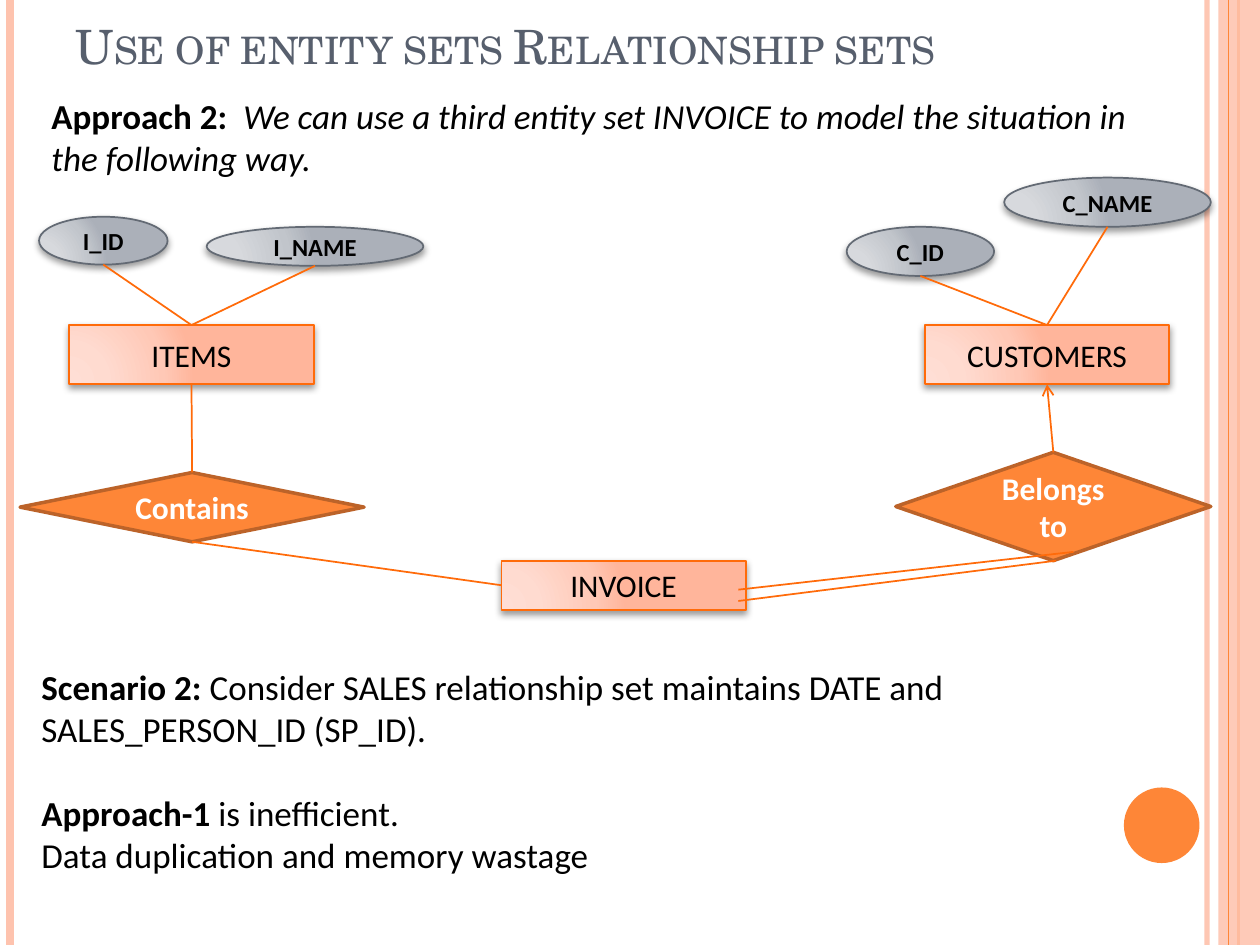
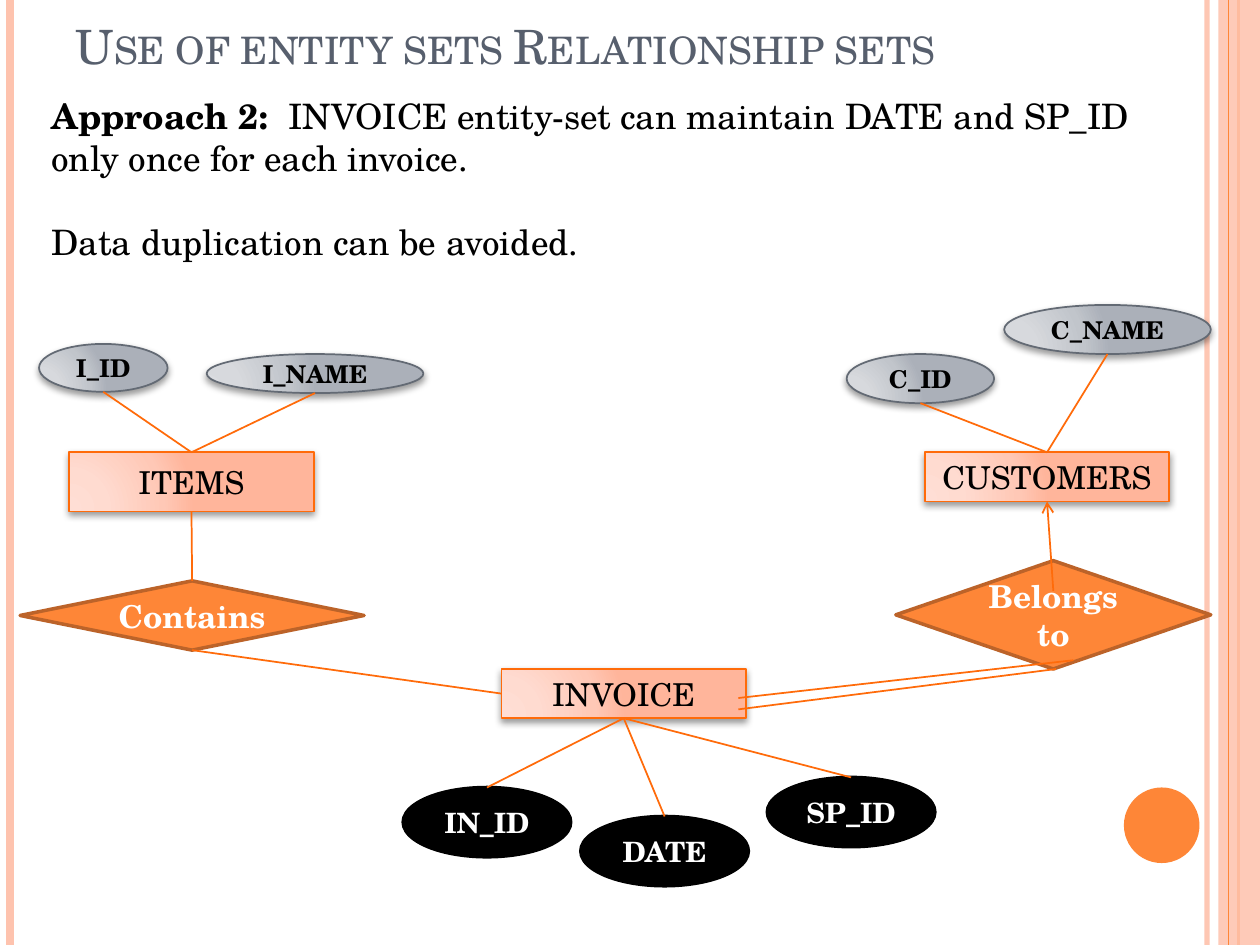
"""Build two entity-relationship slides about modelling sales with an invoice entity."""
from dataclasses import dataclass

from lxml import etree
from pptx import Presentation
from pptx.dml.color import RGBColor
from pptx.enum.shapes import MSO_CONNECTOR, MSO_SHAPE
from pptx.enum.text import MSO_ANCHOR, MSO_AUTO_SIZE, PP_ALIGN
from pptx.oxml import parse_xml
from pptx.oxml.ns import nsdecls, qn
from pptx.util import Inches, Pt

RECTANGLE = MSO_SHAPE.RECTANGLE
OVAL = MSO_SHAPE.OVAL
DIAMOND = MSO_SHAPE.FLOWCHART_DECISION
STRAIGHT = MSO_CONNECTOR.STRAIGHT
MIDDLE, BOTTOM = MSO_ANCHOR.MIDDLE, MSO_ANCHOR.BOTTOM
LEFT, CENTER = PP_ALIGN.LEFT, PP_ALIGN.CENTER
NO_AUTOFIT = MSO_AUTO_SIZE.NONE

WHITE = RGBColor(0xFF, 0xFF, 0xFF)
BLACK = RGBColor(0x00, 0x00, 0x00)
SLATE = RGBColor(0x57, 0x5F, 0x6D)
ORANGE = RGBColor(0xFE, 0x86, 0x37)
PEACH = RGBColor(0xFE, 0xC3, 0xAE)
LINK_ORANGE = RGBColor(0xFF, 0x6B, 0x0A)
BROWN = RGBColor(0xBC, 0x63, 0x29)
GREY = RGBColor(0x63, 0x6A, 0x74)
PEACH_STOPS = ("FFDED5", "FFDBD0", "FFC8B6", "FFB59B")
GREY_STOPS = ("DADCE0", "D7D9DD", "C1C5CB", "ABB0B9")
STOP_PERCENTS = (0, 30, 75, 100)

SERIF, SANS = "TeX Gyre Schola", "Calibri"
TITLE = "Use of entity sets Relationship sets"
SLIDE_WIDTH, SLIDE_HEIGHT = 10, 7.5
BLANK_LINE = 24


@dataclass(frozen=True)
class Point:
    """A place on the slide in inches."""
    x: float
    y: float


@dataclass(frozen=True)
class Box:
    """A rectangle on the slide in inches."""
    left: float
    top: float
    width: float
    height: float

    @property
    def top_mid(self) -> Point:
        """Middle of the upper edge."""
        return Point(self.left + self.width / 2, self.top)

    @property
    def bottom_mid(self) -> Point:
        """Middle of the lower edge."""
        return Point(self.left + self.width / 2, self.top + self.height)

    @property
    def left_mid(self) -> Point:
        """Middle of the left edge."""
        return Point(self.left, self.top + self.height / 2)


@dataclass(frozen=True)
class NodeStyle:
    """Look of one kind of diagram node."""
    outline: int
    line: RGBColor
    line_width: float
    text: RGBColor
    size: int
    bold: bool
    fill: RGBColor | None = None
    stops: tuple[str, ...] = ()


@dataclass(frozen=True)
class Phrase:
    """A stretch of text with one emphasis."""
    text: str
    bold: bool = False
    italic: bool = False


@dataclass(frozen=True)
class Passage:
    """A paragraph and the space above it in points."""
    phrases: tuple[Phrase, ...]
    before: int = 0


@dataclass(frozen=True)
class Diagram:
    """What differs between the two diagrams."""
    font: str
    entity_top: float
    relation_top: float
    customers_height: float
    arrow_inset: float = 0


ENTITY = NodeStyle(RECTANGLE, LINK_ORANGE, 1, BLACK, 18, False, stops=PEACH_STOPS)
ATTRIBUTE = NodeStyle(OVAL, GREY, 1, BLACK, 14, True, stops=GREY_STOPS)
RELATION = NodeStyle(DIAMOND, BROWN, 2, WHITE, 18, True, fill=ORANGE)
NEW_ATTRIBUTE = NodeStyle(OVAL, BLACK, 2, WHITE, 16, True, fill=BLACK)

FIRST_DIAGRAM = Diagram(SANS, 2.58, 3.59, 0.47)
SECOND_DIAGRAM = Diagram(SERIF, 3.59, 4.45, 0.39, arrow_inset=0.24)

THIRD_ENTITY = (
    Passage((
        Phrase("Approach 2:  ", bold=True),
        Phrase("We can use a third entity set INVOICE to model the situation in "
               "the following way.", italic=True))),
)
SCENARIO = (
    Passage((
        Phrase("Scenario 2: ", bold=True),
        Phrase("Consider SALES relationship set maintains DATE and "
               "SALES_PERSON_ID (SP_ID)."))),
    Passage((Phrase("Approach-1 ", bold=True), Phrase("is inefficient.")), BLANK_LINE),
    Passage((Phrase("Data duplication and memory wastage"),)),
)
NO_DUPLICATION = (
    Passage((
        Phrase("Approach 2: ", bold=True),
        Phrase(" INVOICE entity-set can maintain DATE and SP_ID only once for "
               "each invoice."))),
    Passage((Phrase("Data duplication can be avoided."),), BLANK_LINE),
)
INVOICE_ATTRIBUTES = (
    ("IN_ID", Box(3.2, 6.25, 1.33, 0.55)),
    ("DATE", Box(4.61, 6.48, 1.33, 0.55)),
    ("SP_ID", Box(6.09, 6.17, 1.33, 0.55)),
)


def place(box: Box) -> tuple[int, ...]:
    """Return the box as lengths."""
    return tuple(Inches(side) for side in (box.left, box.top, box.width, box.height))


def set_opacity(drawn, percent: int) -> None:
    """Make the first colour of a shape or line partly transparent."""
    colour = next(drawn._element.spPr.iter(qn("a:srgbClr")))
    etree.SubElement(colour, qn("a:alpha")).set("val", str(percent * 1000))


def add_gradient(shape, stops: tuple[str, ...]) -> None:
    """Fill a shape with a circular gradient and give it a soft shadow."""
    stop_xml = "".join(
        f'<a:gs pos="{percent * 1000}"><a:srgbClr val="{colour}"/></a:gs>'
        for percent, colour in zip(STOP_PERCENTS, stops))
    shape._element.spPr.insert(2, parse_xml(
        f'<a:gradFill {nsdecls("a")} rotWithShape="1"><a:gsLst>{stop_xml}</a:gsLst>'
        '<a:path path="circle"><a:fillToRect l="5000" t="100000" r="120000" b="10000"/>'
        '</a:path></a:gradFill>'))
    shape._element.spPr.append(parse_xml(
        f'<a:effectLst {nsdecls("a")}><a:outerShdw blurRad="{Pt(4)}" dist="{Pt(2)}" '
        'dir="5400000" rotWithShape="0"><a:srgbClr val="000000"><a:alpha val="40000"/>'
        '</a:srgbClr></a:outerShdw></a:effectLst>'))


def add_line(slide, start: Point, end: Point, colour: RGBColor = LINK_ORANGE,
             width: float = 1, arrow: bool = False):
    """Draw a straight line, with an arrowhead at its end if asked."""
    line = slide.shapes.add_connector(
        STRAIGHT, Inches(start.x), Inches(start.y), Inches(end.x), Inches(end.y))
    line.line.color.rgb = colour
    line.line.width = Pt(width)
    if arrow:
        etree.SubElement(line.line._get_or_add_ln(), qn("a:tailEnd")).set("type", "arrow")
    etree.SubElement(line._element.spPr, qn("a:effectLst"))
    return line


def add_plain(slide, outline: int, box: Box, colour: RGBColor):
    """Draw a flat shape without an outline."""
    shape = slide.shapes.add_shape(outline, *place(box))
    shape.fill.solid()
    shape.fill.fore_color.rgb = colour
    shape.line.fill.background()
    shape.shadow.inherit = False
    return shape


def add_node(slide, label: str, box: Box, style: NodeStyle, font_name: str) -> None:
    """Draw a labelled diagram node."""
    node = slide.shapes.add_shape(style.outline, *place(box))
    if style.stops:
        add_gradient(node, style.stops)
    else:
        node.fill.solid()
        node.fill.fore_color.rgb = style.fill
        node.shadow.inherit = False
    node.line.color.rgb = style.line
    node.line.width = Pt(style.line_width)
    frame = node.text_frame
    frame.text = label
    frame.word_wrap = True
    frame.vertical_anchor = MIDDLE
    paragraph = frame.paragraphs[0]
    paragraph.alignment = CENTER
    font = paragraph.runs[0].font
    font.name, font.size, font.bold = font_name, Pt(style.size), style.bold
    font.color.rgb = style.text


def add_passages(slide, box: Box, passages: tuple[Passage, ...], font_name: str) -> None:
    """Write paragraphs of mixed emphasis in a text box."""
    frame = slide.shapes.add_textbox(*place(box)).text_frame
    frame.word_wrap = True
    for index, passage in enumerate(passages):
        paragraph = frame.add_paragraph() if index else frame.paragraphs[0]
        paragraph.space_before = Pt(passage.before)
        for phrase in passage.phrases:
            run = paragraph.add_run()
            run.text = phrase.text
            font = run.font
            font.name, font.size = font_name, Pt(20)
            font.bold, font.italic = phrase.bold, phrase.italic
            font.color.rgb = BLACK


def add_band(slide, x: float, colour: RGBColor, width: float):
    """Draw a vertical line over the full height of the slide."""
    return add_line(slide, Point(x, 0), Point(x, SLIDE_HEIGHT), colour, width)


def add_framed_slide(deck):
    """Add a slide with the side bands, the corner disc and the title."""
    slide = deck.slides.add_slide(deck.slide_layouts[5])
    set_opacity(add_band(slide, 9.58, PEACH, 3), 93)
    add_band(slide, 0.08, PEACH, 4.5)
    add_band(slide, 9.83, ORANGE, 1.5)
    side_panel = add_plain(slide, RECTANGLE, Box(9.67, 0, 0.33, SLIDE_HEIGHT), PEACH)
    set_opacity(side_panel, 87)
    add_band(slide, 9.75, ORANGE, 0.75)
    add_plain(slide, OVAL, Box(8.92, 6.25, 0.6, 0.6), ORANGE)

    title = slide.shapes.title
    title.left, title.top, title.width, title.height = place(Box(0.5, 0.08, 8.17, 0.56))
    frame = title.text_frame
    frame.text = TITLE
    frame.auto_size = NO_AUTOFIT
    frame.vertical_anchor = BOTTOM
    frame.paragraphs[0].alignment = LEFT
    run = frame.paragraphs[0].runs[0]
    run.font.name, run.font.size = SERIF, Pt(27)
    run.font.color.rgb = SLATE
    run._r.get_or_add_rPr().set("cap", "small")
    return slide


def add_diagram(slide, diagram: Diagram) -> Box:
    """Draw the shared diagram and return the box of the invoice."""
    entity_y, relation_y = diagram.entity_top, diagram.relation_top
    items = Box(0.55, entity_y, 1.94, 0.47)
    customers = Box(7.34, entity_y, 1.94, diagram.customers_height)
    invoice = Box(3.98, relation_y + 0.86, 1.94, 0.39)
    contains = Box(0.16, relation_y + 0.16, 2.73, 0.55)
    belongs_to = Box(7.11, relation_y, 2.5, 0.86)
    attributes = (
        ("C_ID", Box(6.72, entity_y - 0.78, 1.17, 0.39), customers),
        ("C_NAME", Box(7.97, entity_y - 1.17, 1.64, 0.39), customers),
        ("I_ID", Box(0.31, entity_y - 0.86, 1.02, 0.38), items),
        ("I_NAME", Box(1.64, entity_y - 0.78, 1.72, 0.31), items),
    )
    for label, box in (("ITEMS", items), ("CUSTOMERS", customers), ("INVOICE", invoice)):
        add_node(slide, label, box, ENTITY, diagram.font)
    for label, box in (("Contains", contains), ("Belongs to", belongs_to)):
        add_node(slide, label, box, RELATION, diagram.font)
    for label, box, owner in attributes:
        add_node(slide, label, box, ATTRIBUTE, diagram.font)
        add_line(slide, box.bottom_mid, owner.top_mid)

    add_line(slide, items.bottom_mid, contains.top_mid)
    add_line(slide, invoice.left_mid, contains.bottom_mid)
    add_line(slide, Point(8.38, relation_y + 0.86), Point(5.86, relation_y + 1.18))
    add_line(slide, Point(8.52, relation_y + 0.79), Point(5.86, relation_y + 1.09))
    arrow_start = Point(belongs_to.top_mid.x, relation_y + diagram.arrow_inset)
    add_line(slide, arrow_start, customers.bottom_mid, arrow=True)
    return invoice


def main() -> None:
    """Build both slides and save them."""
    deck = Presentation()
    deck.slide_width, deck.slide_height = Inches(SLIDE_WIDTH), Inches(SLIDE_HEIGHT)

    slide = add_framed_slide(deck)
    add_diagram(slide, FIRST_DIAGRAM)
    add_passages(slide, Box(0.31, 0.7, 8.91, 0.77), THIRD_ENTITY, SANS)
    add_passages(slide, Box(0.23, 5.23, 9.22, 2.12), SCENARIO, SANS)

    slide = add_framed_slide(deck)
    invoice = add_diagram(slide, SECOND_DIAGRAM)
    add_passages(slide, Box(0.31, 0.7, 8.91, 1.78), NO_DUPLICATION, SERIF)
    for label, box in INVOICE_ATTRIBUTES:
        add_node(slide, label, box, NEW_ATTRIBUTE, SERIF)
        add_line(slide, invoice.bottom_mid, box.top_mid)

    deck.save("out.pptx")


if __name__ == "__main__":
    main()
